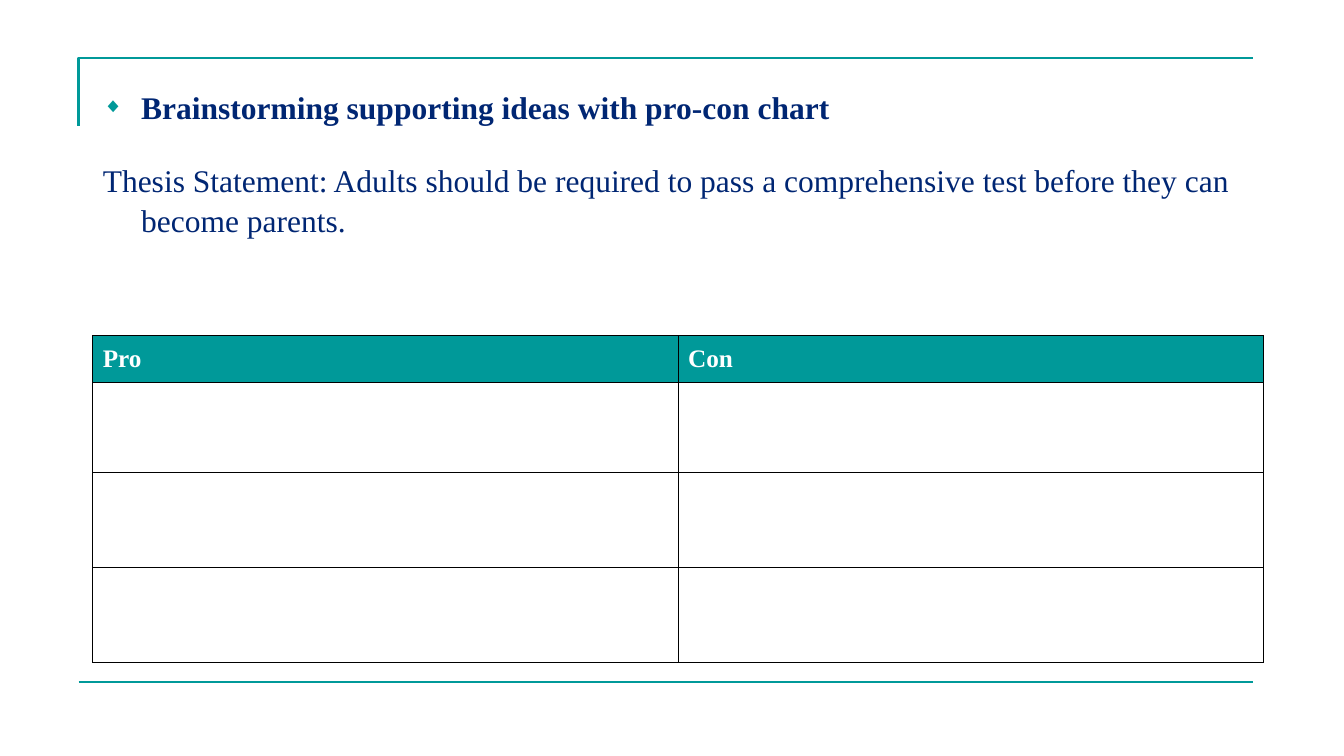
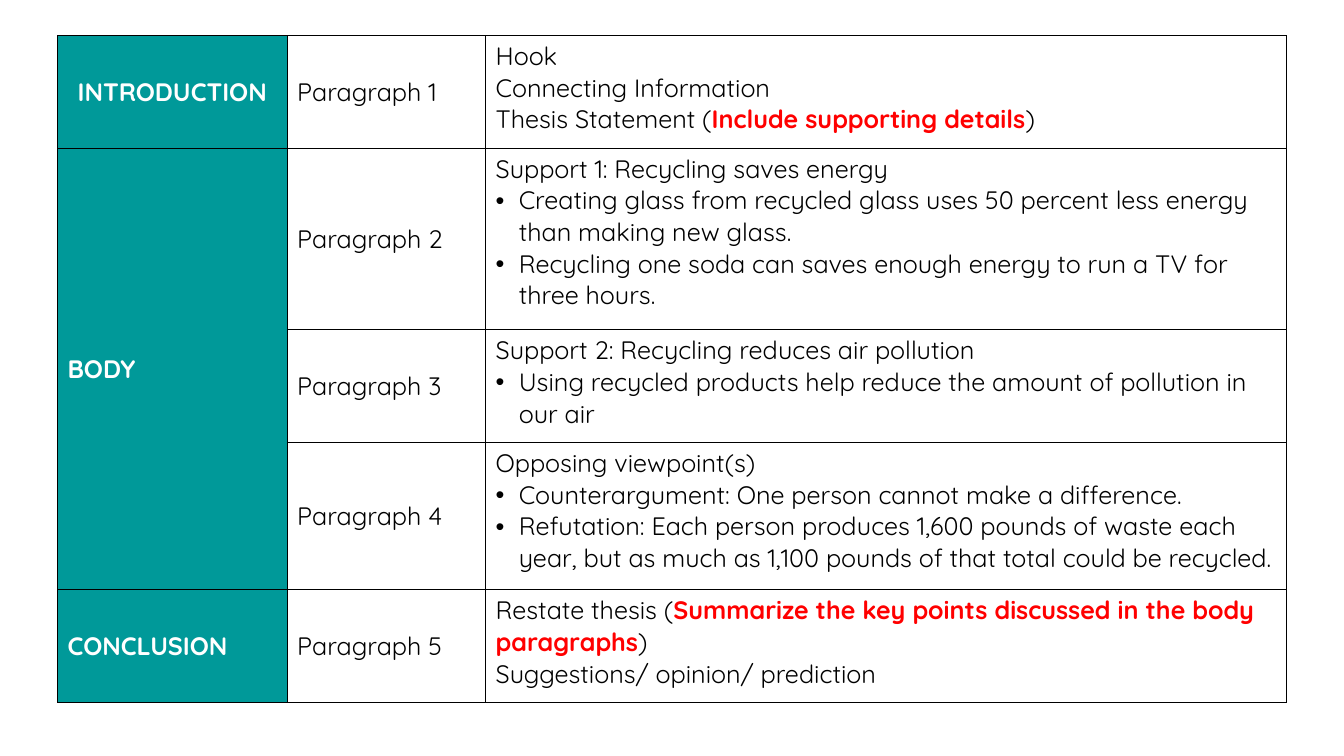
"""Build two slides on planning an essay: a pro-con chart and an outline."""
import dataclasses
import typing

import lxml.etree
import pptx
import pptx.dml.color
import pptx.enum.shapes
import pptx.enum.text
import pptx.oxml.ns
import pptx.util

Inches = pptx.util.Inches
Pt = pptx.util.Pt
qn = pptx.oxml.ns.qn
ANCHOR = pptx.enum.text.MSO_ANCHOR
ALIGN = pptx.enum.text.PP_ALIGN

COLOR = {"teal": "009999", "navy": "002673", "red": "FF0000", "black": "000000", "white": "FFFFFF"}
SERIF = "Times New Roman"
SANS = "Quicksand"
LEFT, RIGHT, TOP, BASE = 0.78, 12.44, 0.58, 6.77


@dataclasses.dataclass(frozen=True)
class Run:
    text: str
    color: str = "black"
    bold: bool = False


@dataclasses.dataclass(frozen=True)
class Line:
    runs: tuple[Run, ...]
    mark: str = ""
    hang: float = 0
    hue: str = "black"
    scale: int = 100
    align: typing.Any = ALIGN.LEFT


@dataclasses.dataclass(frozen=True)
class Cell:
    lines: tuple[Line, ...] = ()
    fill: str = "white"
    anchor: typing.Any = ANCHOR.MIDDLE


@dataclasses.dataclass(frozen=True)
class Grid:
    left: float
    top: float
    cols: tuple[float, ...]
    rows: tuple[float, ...]
    font: str
    cells: tuple[tuple[Cell, ...], ...]
    merge: tuple[int, int] | None = None


def rgb(name: str) -> pptx.dml.color.RGBColor:
    return pptx.dml.color.RGBColor.from_string(COLOR[name])


def add_tag(base: typing.Any, tag: str, **attrs: str) -> typing.Any:
    return lxml.etree.SubElement(base, qn(tag), attrs)


def plain(text: str) -> Line:
    return Line((Run(text),))


def point(text: str) -> Line:
    return Line((Run(text),), mark="•", hang=0.23)


def stress(lead: str, text: str) -> Line:
    return Line((Run(lead), Run(text, "red", True), Run(")")))


def head(text: str, align: typing.Any = ALIGN.LEFT) -> Cell:
    return Cell((Line((Run(text, "white", True),), align=align),), "teal")


def label(count: int) -> Cell:
    return Cell((plain(f"Paragraph {count}"),))


def notes(*lines: Line) -> Cell:
    return Cell(lines, anchor=ANCHOR.TOP)


def write(frame: typing.Any, lines: tuple[Line, ...], font: str, size: float) -> None:
    for i, line in enumerate(lines):
        para = frame.paragraphs[0] if i == 0 else frame.add_paragraph()
        props = para._p.get_or_add_pPr()
        props.set("marL", str(Inches(line.hang)))
        props.set("indent", str(-Inches(line.hang)))
        if line.mark:
            add_tag(add_tag(props, "a:buClr"), "a:srgbClr", val=COLOR[line.hue])
            add_tag(props, "a:buSzPct", val=str(line.scale * 1000))
            add_tag(props, "a:buFont", typeface="Arial")
            add_tag(props, "a:buChar", char=line.mark)
        else:
            add_tag(props, "a:buNone")
        para.alignment = line.align
        para.space_before = Pt(0)
        for item in line.runs:
            run = para.add_run()
            run.text = item.text
            run.font.name = font
            run.font.size = Pt(size)
            run.font.bold = item.bold
            run.font.color.rgb = rgb(item.color)


def add_frame(slide: typing.Any) -> None:
    maker = slide.shapes.build_freeform(Inches(LEFT), Inches(1.25))
    maker.add_line_segments(
        [(Inches(LEFT), Inches(TOP)), (Inches(RIGHT), Inches(TOP))], close=False
    )
    bend = maker.convert_to_shape()
    bend.fill.background()
    bend.shadow.inherit = False
    rule = slide.shapes.add_connector(
        pptx.enum.shapes.MSO_CONNECTOR.STRAIGHT,
        Inches(LEFT), Inches(BASE), Inches(RIGHT), Inches(BASE),
    )
    for shape in (bend, rule):
        shape.line.color.rgb = rgb("teal")
        shape.line.width = Pt(1.5)
    add_tag(rule._element.spPr, "a:effectLst")


def add_grid(slide: typing.Any, grid: Grid) -> None:
    table = slide.shapes.add_table(
        len(grid.rows), len(grid.cols), Inches(grid.left), Inches(grid.top),
        Inches(sum(grid.cols)), Inches(sum(grid.rows)),
    ).table
    table.horz_banding = False
    for col, width in zip(table.columns, grid.cols):
        col.width = Inches(width)
    for row, height in zip(table.rows, grid.rows):
        row.height = Inches(height)
    for r, row in enumerate(grid.cells):
        for c, data in enumerate(row):
            cell = table.cell(r, c)
            props = cell._tc.get_or_add_tcPr()
            for side in ("a:lnL", "a:lnR", "a:lnT", "a:lnB"):
                edge = add_tag(props, side, w=str(Pt(0.45)))
                add_tag(add_tag(edge, "a:solidFill"), "a:srgbClr", val=COLOR["black"])
            cell.fill.solid()
            cell.fill.fore_color.rgb = rgb(data.fill)
            cell.vertical_anchor = data.anchor
            write(cell.text_frame, data.lines, grid.font, 18)
    if grid.merge:
        first, last = grid.merge
        table.cell(first, 0).merge(table.cell(last, 0))


def add_list(slide: typing.Any, lines: tuple[Line, ...]) -> None:
    body = slide.placeholders[1]
    body.left, body.top = Inches(0.92), Inches(0.8)
    body.width, body.height = Inches(11.8), Inches(1.53)
    frame = body.text_frame
    frame.word_wrap = True
    frame.auto_size = pptx.enum.text.MSO_AUTO_SIZE.NONE
    frame.vertical_anchor = ANCHOR.TOP
    write(frame, lines, SERIF, 22.5)
    for para in frame.paragraphs:
        para.line_spacing = 1.05
        para.space_after = Pt(0)
    for para in frame.paragraphs[1:]:
        para.space_before = Pt(24)


IDEAS = (
    Line((Run("Brainstorming supporting ideas with pro-con chart", "navy", True),),
         mark="◆", hang=0.38, hue="teal", scale=65),
    Line((Run("Thesis Statement: Adults should be required to pass a comprehensive test "
              "before they can become parents.", "navy"),), hang=0.38),
)
CHART = Grid(
    0.92, 3.33, (5.81, 5.81), (0.46, 0.9, 0.94, 0.94), SERIF,
    ((head("Pro"), head("Con")),) + ((Cell(), Cell()),) * 3,
)
PLAN = Grid(
    0.57, 0.35, (2.28, 1.97, 7.95), (1.12, 1.8, 1.12, 1.46, 1.12), SANS,
    (
        (head("INTRODUCTION", ALIGN.CENTER), label(1), notes(
            plain("Hook"),
            plain("Connecting Information"),
            stress("Thesis Statement (", "Include supporting details"),
        )),
        (head("BODY"), label(2), notes(
            plain("Support 1: Recycling saves energy"),
            point("Creating glass from recycled glass uses 50 percent less energy "
                  "than making new glass."),
            point("Recycling one soda can saves enough energy to run a TV for three hours."),
        )),
        (Cell(fill="teal"), label(3), notes(
            plain("Support 2: Recycling reduces air pollution"),
            point("Using recycled products help reduce the amount of pollution in our air"),
        )),
        (Cell(fill="teal"), label(4), notes(
            plain("Opposing viewpoint(s)"),
            point("Counterargument: One person cannot make a difference."),
            point("Refutation: Each person produces 1,600 pounds of waste each year, "
                  "but as much as 1,100 pounds of that total could be recycled."),
        )),
        (head("CONCLUSION"), label(5), notes(
            stress("Restate thesis (",
                   "Summarize the key points discussed in the body paragraphs"),
            plain("Suggestions/ opinion/ prediction"),
        )),
    ),
    merge=(1, 3),
)


def main() -> None:
    deck = pptx.Presentation()
    deck.slide_width, deck.slide_height = Inches(13.34), Inches(7.5)
    for grid, lines in ((CHART, IDEAS), (PLAN, ())):
        slide = deck.slides.add_slide(deck.slide_layouts[1 if lines else 6])
        add_frame(slide)
        add_grid(slide, grid)
        if lines:
            title = slide.shapes.title._element
            title.getparent().remove(title)
            add_list(slide, lines)
    deck.save("out.pptx")


if __name__ == "__main__":
    main()
